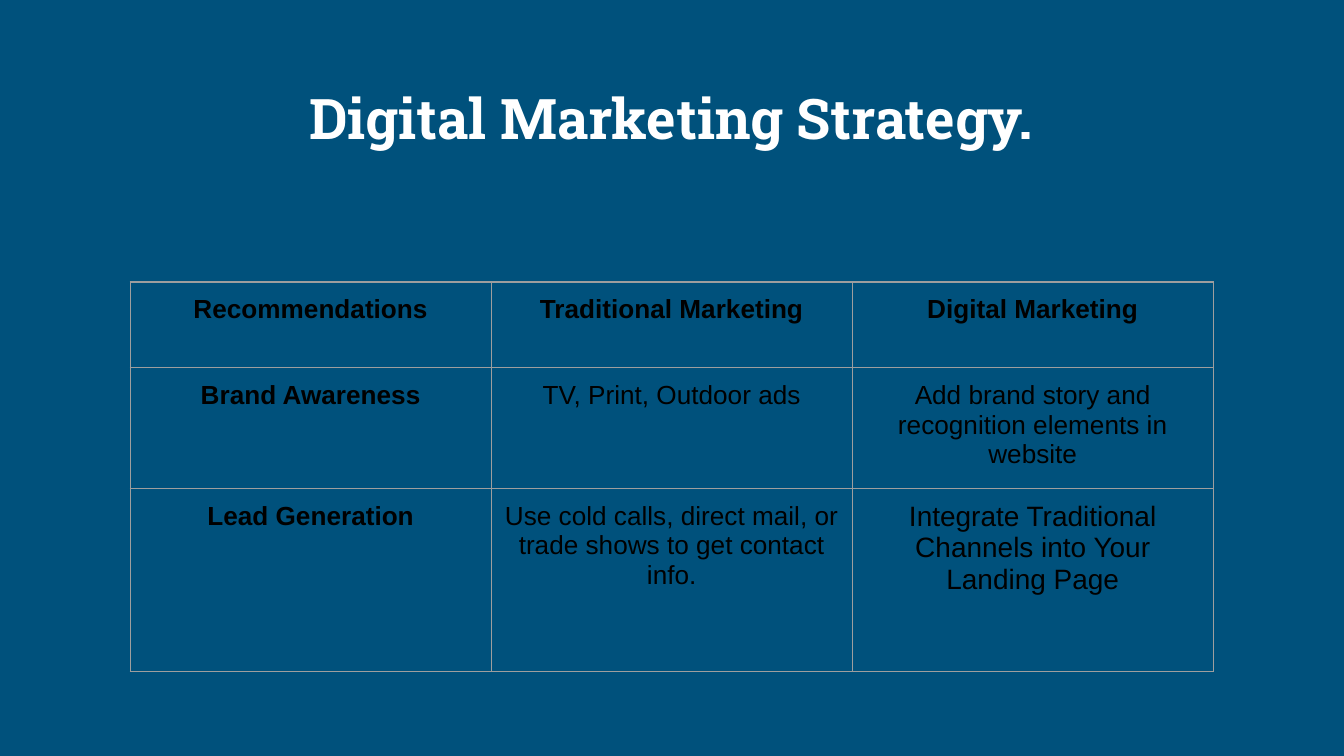
from dataclasses import dataclass

from lxml.etree import SubElement
from pptx import Presentation
from pptx.dml.color import RGBColor
from pptx.enum.text import MSO_ANCHOR, PP_ALIGN
from pptx.oxml.ns import qn
from pptx.util import Cm, Pt


@dataclass(frozen=True)
class Theme:
    background: str = "00517C"
    title_color: str = "FFFFFF"
    body_color: str = "000000"
    border_color: str = "9E9E9E"
    title_font: str = "Roboto Slab"
    body_font: str = "Arial"
    title_size: int = 30
    body_size: int = 14
    large_size: int = 15
    border_width: float = 0.75
    inset: float = 0.25


THEME = Theme()

ROWS = [
    ["Recommendations", "Traditional Marketing", "Digital Marketing"],
    ["Brand Awareness", "TV, Print, Outdoor ads",
     "Add brand story and recognition elements in website"],
    ["Lead Generation",
     "Use cold calls, direct mail, or trade shows to get contact info.",
     "Integrate Traditional Channels into Your Landing Page"],
]
ROW_HEIGHTS = [1.62, 2.2, 3.46]
LARGE_CELL = (2, 2)


def set_margins(target):
    for side in ("left", "top", "right", "bottom"):
        setattr(target, f"margin_{side}", Cm(THEME.inset))


def write_text(frame, text, color, font_format):
    para = frame.paragraphs[0]
    para.alignment = PP_ALIGN.CENTER
    span = para.add_run()
    span.text = text
    for name, value in font_format.items():
        setattr(span.font, name, value)
    span.font.color.rgb = RGBColor.from_string(color)


def set_borders(cell):
    properties = cell._tc.get_or_add_tcPr()
    for side in ("lnL", "lnR", "lnT", "lnB"):
        line = SubElement(properties, qn(f"a:{side}"), w=str(Pt(THEME.border_width)))
        fill = SubElement(line, qn("a:solidFill"))
        SubElement(fill, qn("a:srgbClr"), val=THEME.border_color)


def add_title(page, left, top, width, height):
    box = page.shapes.add_textbox(Cm(left), Cm(top), Cm(width), Cm(height))
    frame = box.text_frame
    frame.word_wrap = True
    frame.vertical_anchor = MSO_ANCHOR.MIDDLE
    set_margins(frame)
    write_text(frame, "Digital Marketing Strategy.", THEME.title_color,
               {"name": THEME.title_font, "size": Pt(THEME.title_size), "bold": True})


def add_strategy_table(page, left, top, width):
    table = page.shapes.add_table(
        len(ROWS), len(ROWS[0]), Cm(left), Cm(top), Cm(width), Cm(sum(ROW_HEIGHTS))
    ).table
    table.first_row = False
    table.horz_banding = False
    for column in table.columns:
        column.width = Cm(width / len(ROWS[0]))

    for row_index, (texts, height) in enumerate(zip(ROWS, ROW_HEIGHTS)):
        table.rows[row_index].height = Cm(height)
        for column_index, text in enumerate(texts):
            cell = table.cell(row_index, column_index)
            set_margins(cell)
            set_borders(cell)
            cell.fill.background()
            # Headings fill the first row and the first column
            is_heading = row_index == 0 or column_index == 0
            is_large = (row_index, column_index) == LARGE_CELL
            size = THEME.large_size if is_large else THEME.body_size
            write_text(cell.text_frame, text, THEME.body_color,
                       {"name": THEME.body_font, "size": Pt(size), "bold": is_heading})


def main():
    deck = Presentation()
    deck.slide_width, deck.slide_height = Cm(25.4), Cm(14.29)
    page = deck.slides.add_slide(deck.slide_layouts[6])

    # Background
    fill = page.background.fill
    fill.solid()
    fill.fore_color.rgb = RGBColor.from_string(THEME.background)

    # Title and table
    add_title(page, 1.07, 1.27, 23.24, 1.9)
    add_strategy_table(page, 2.46, 5.33, 20.47)

    deck.save("out.pptx")


if __name__ == "__main__":
    main()
